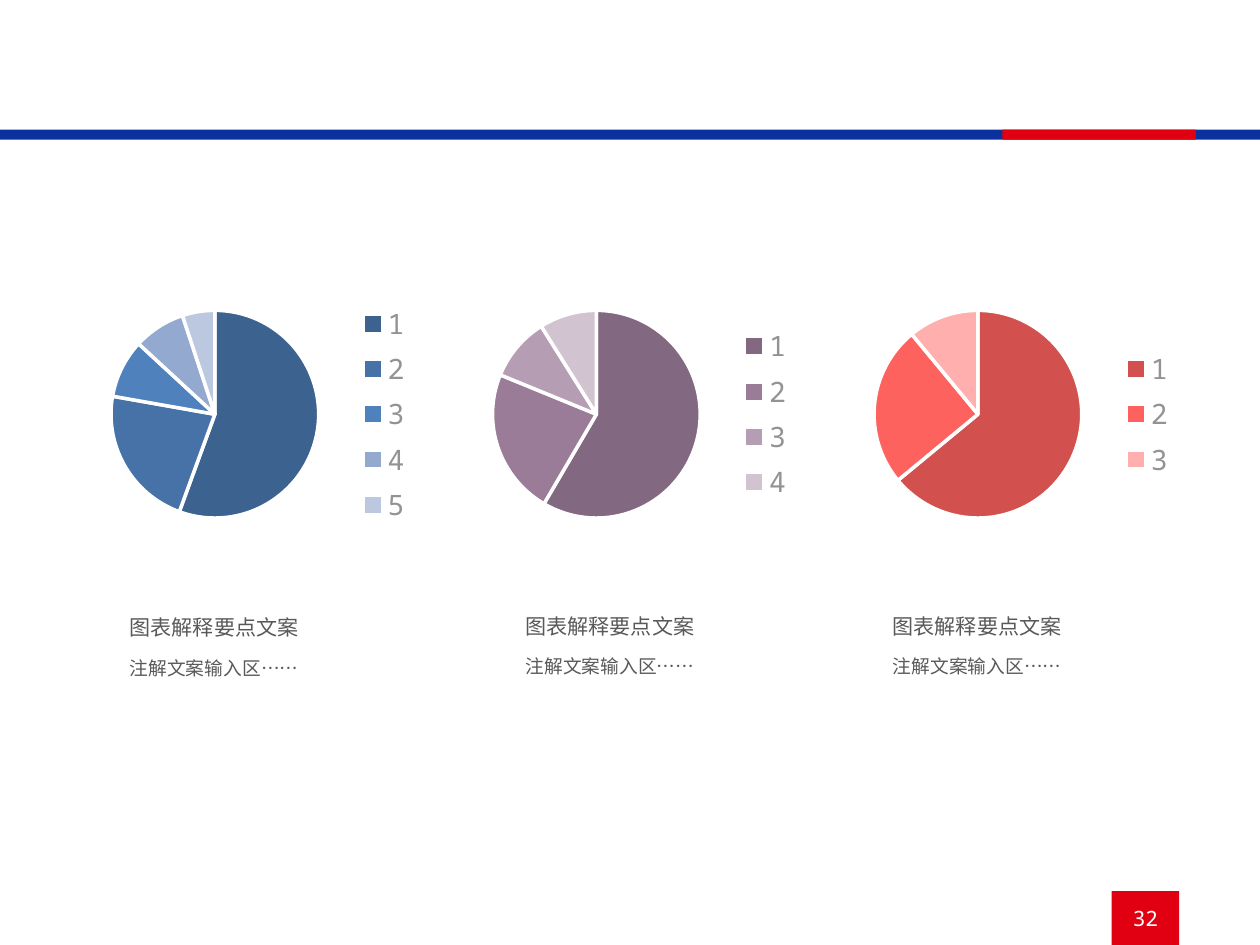
from dataclasses import dataclass

from lxml import etree
from pptx import Presentation
from pptx.chart.data import CategoryChartData
from pptx.dml.color import RGBColor
from pptx.enum.chart import XL_CHART_TYPE as ChartType, XL_LEGEND_POSITION as LegendPosition
from pptx.enum.shapes import MSO_SHAPE as Shape
from pptx.enum.text import MSO_ANCHOR as Anchor, PP_ALIGN as Align
from pptx.oxml.ns import qn
from pptx.util import Inches, Pt


@dataclass(frozen=True)
class Theme:
    blue: str = "0A319D"
    red: str = "E10011"
    white: str = "FFFFFF"
    text: str = "595959"
    legend: str = "939393"
    latin: str = "Noto Sans Mono"
    chinese: str = "Noto Sans CJK SC"
    heading_size: float = 9
    note_size: float = 8
    chart_size: float = 10
    legend_size: float = 12
    slice_gap: float = 1.5


def format_font(font, name, size, color):
    font.name, font.size = name, Pt(size)
    font.color.rgb = RGBColor.from_string(color)


def write(para, text, *, font, size, color, align=Align.LEFT, before=0):
    para.alignment = align
    if before:
        para.space_before = Pt(before)
    span = para.add_run()
    span.text = text
    format_font(span.font, font, size, color)
    east_asian = etree.SubElement(span.font._element, qn("a:ea"))
    east_asian.set("typeface", font)


def place_plot(chart, **fractions):
    """Fix the inner plot area, in fractions of the chart frame."""
    plot_area = chart._chartSpace.chart.plotArea
    for old in plot_area.findall(qn("c:layout")):
        plot_area.remove(old)
    layout = etree.Element(qn("c:layout"))
    plot_area.insert(0, layout)
    manual = etree.SubElement(layout, qn("c:manualLayout"))
    settings = dict(layoutTarget="inner", xMode="edge", yMode="edge", **fractions)
    for tag, value in settings.items():
        etree.SubElement(manual, qn(f"c:{tag}")).set("val", str(value))


class SlideBuilder:
    def __init__(self, page, theme):
        self.page = page
        self.theme = theme

    def bar(self, left, top, width, height, color):
        bar = self.page.shapes.add_shape(
            Shape.RECTANGLE, Inches(left), Inches(top), Inches(width), Inches(height))
        bar.shadow.inherit = False
        bar.fill.solid()
        bar.fill.fore_color.rgb = RGBColor.from_string(color)
        bar.line.fill.background()
        return bar

    def page_number(self, number, left, top, width, height):
        theme = self.theme
        frame = self.bar(left, top, width, height, theme.red).text_frame
        frame.margin_left = frame.margin_right = 0
        frame.vertical_anchor = Anchor.MIDDLE
        write(frame.paragraphs[0], number, font=theme.latin, size=theme.heading_size,
              color=theme.white, align=Align.CENTER)

    def pie(self, left, top, width, height, values, colors):
        theme = self.theme
        data = CategoryChartData()
        data.categories = [str(n) for n in range(1, len(values) + 1)]
        data.add_series("Series 1", values)
        chart = self.page.shapes.add_chart(
            ChartType.PIE, Inches(left), Inches(top), Inches(width), Inches(height), data).chart
        chart.has_title = False
        format_font(chart.font, theme.latin, theme.chart_size, theme.text)
        chart.has_legend = True
        chart.legend.position = LegendPosition.RIGHT
        chart.legend.include_in_layout = False
        format_font(chart.legend.font, theme.latin, theme.legend_size, theme.legend)
        plot = chart.plots[0]
        plot.vary_by_categories = True
        for index, color in enumerate(colors):
            style = plot.series[0].points[index].format
            style.fill.solid()
            style.fill.fore_color.rgb = RGBColor.from_string(color)
            style.line.color.rgb = RGBColor.from_string(theme.white)
            style.line.width = Pt(theme.slice_gap)
        place_plot(chart, x=0.1, y=0.09, w=0.59, h=0.82)

    def caption(self, left, top, width, height, heading, note):
        theme = self.theme
        box = self.page.shapes.add_textbox(
            Inches(left), Inches(top), Inches(width), Inches(height))
        frame = box.text_frame
        frame.word_wrap = True
        frame.margin_left = frame.margin_right = Inches(0.09)
        frame.margin_top = frame.margin_bottom = Inches(0.03)
        write(frame.paragraphs[0], heading, font=theme.chinese,
              size=theme.heading_size, color=theme.text)
        write(frame.add_paragraph(), note, font=theme.chinese,
              size=theme.note_size, color=theme.text, before=7)


PIES = [
    ([55, 22, 9, 8, 5], ["3C628F", "4672A8", "4F81BD", "93A9CF", "BCC8DF"]),
    ([59, 23, 10, 9], ["826880", "9B7C98", "B59DB3", "D1C4D0"]),
    ([64, 25, 11], ["D2514E", "FD625E", "FEAFAE"]),
]
CAPTION_CORNERS = [(0.68, 3.62), (3.03, 3.61), (5.21, 3.61)]


def main():
    deck = Presentation()
    deck.slide_width, deck.slide_height = Inches(7.48), Inches(5.61)
    theme = Theme()
    builder = SlideBuilder(deck.slides.add_slide(deck.slide_layouts[6]), theme)

    builder.bar(0, 0.77, 7.48, 0.06, theme.blue)
    builder.bar(5.95, 0.77, 1.15, 0.06, theme.red)
    for column, (values, colors) in enumerate(PIES):
        builder.pie(0.45 + 2.265 * column, 1.7, 2.09, 1.52, values, colors)
    for left, top in CAPTION_CORNERS:
        builder.caption(left, top, 1.68, 0.51, "图表解释要点文案", "注解文案输入区……")
    builder.page_number("32", 6.6, 5.29, 0.4, 0.32)

    deck.save("out.pptx")


if __name__ == "__main__":
    main()
